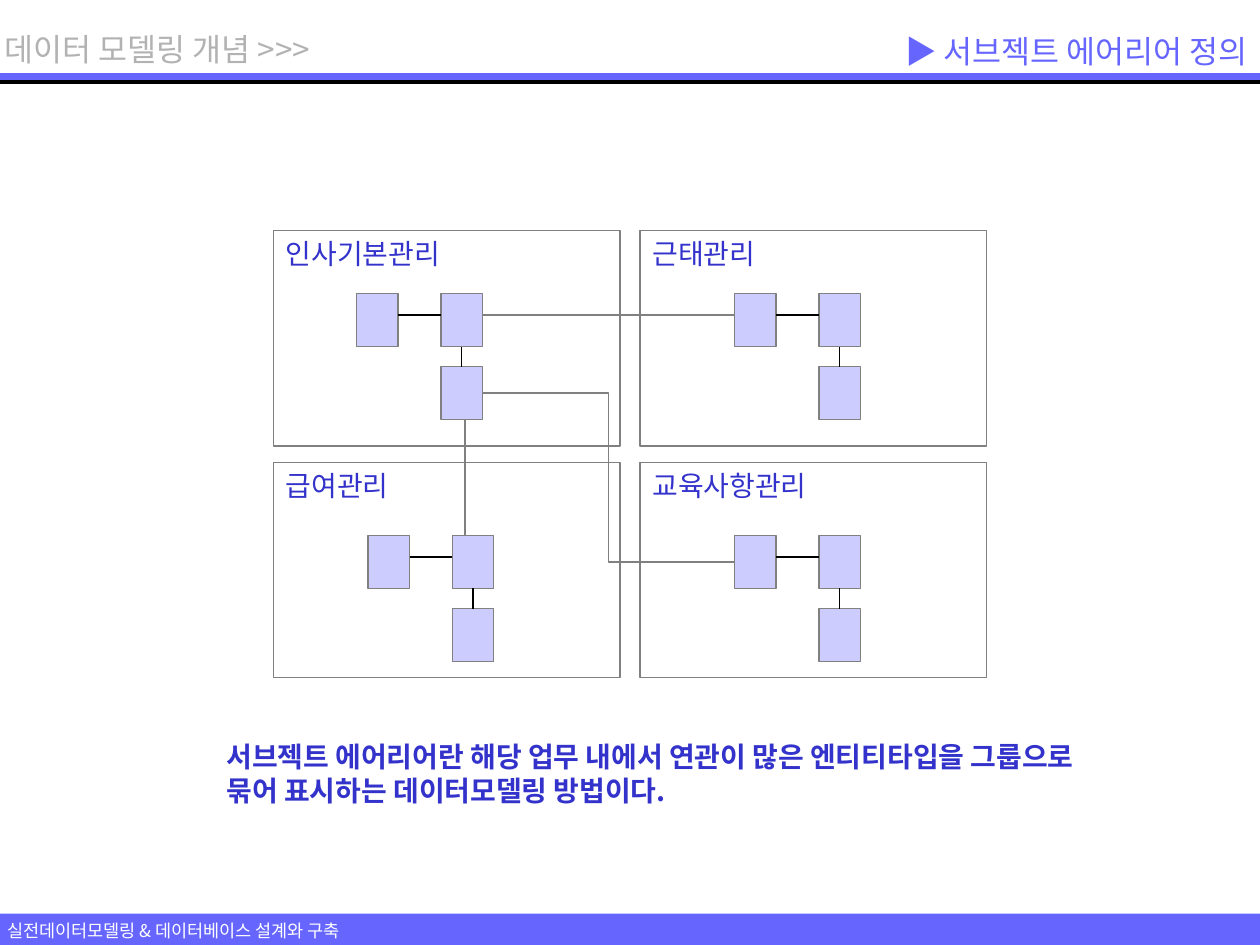
from lxml.etree import SubElement
from pptx import Presentation
from pptx.dml.color import RGBColor
from pptx.enum.shapes import MSO_CONNECTOR as LINK, MSO_SHAPE as SHAPE
from pptx.enum.text import MSO_ANCHOR as ANCHOR, PP_ALIGN as ALIGN
from pptx.oxml.ns import qn
from pptx.util import Inches, Pt

FONT = "Noto Sans CJK KR"
COLORS = {
    "accent": "6666FF", "entity": "CCCCFF", "text": "3333CC", "white": "FFFFFF",
    "black": "000000", "border": "808080", "muted": "B2B2B2",
}
ENTITY_WIDTH, ENTITY_HEIGHT = 0.33, 0.42


def color(name):
    """Return the named palette colour."""
    return RGBColor.from_string(COLORS[name])


def write(shape, text, size, tone, bold=False, align=ALIGN.LEFT, anchor=ANCHOR.TOP):
    """Put formatted text in a shape."""
    frame = shape.text_frame
    frame.text = text
    frame.word_wrap = True
    frame.vertical_anchor = anchor
    for para in frame.paragraphs:
        para.alignment = align
        for span in para.runs:
            span.font.name = FONT
            span.font.size = Pt(size)
            span.font.bold = bold
            span.font.color.rgb = color(tone)
            SubElement(span.font._element, qn("a:ea"), typeface=FONT)


def add_label(page, place, text, size, tone, **style):
    """Add a text box at left, top, width, height."""
    box = page.shapes.add_textbox(*map(Inches, place))
    write(box, text, size, tone, **style)


def add_box(page, place, fill, outline=None):
    """Add a flat rectangle with an optional outline."""
    box = page.shapes.add_shape(SHAPE.RECTANGLE, *map(Inches, place))
    box.shadow.inherit = False
    box.fill.solid()
    box.fill.fore_color.rgb = color(fill)
    if outline:
        box.line.color.rgb = color(outline)
        box.line.width = Pt(0.75)
    else:
        box.line.fill.background()
    return box


def add_link(page, start, end, tone, kind=LINK.STRAIGHT):
    """Add a thin connector between two points."""
    link = page.shapes.add_connector(kind, *map(Inches, (*start, *end)))
    link.line.color.rgb = color(tone)
    link.line.width = Pt(0.75)
    SubElement(link._element.spPr, qn("a:effectLst"))
    return link


def join(link, first, first_side, last, last_side):
    """Attach both ends of a connector to shapes."""
    link.begin_connect(first, first_side)
    link.end_connect(last, last_side)


def add_area(page, left, top, name):
    """Add a named subject area frame."""
    area = add_box(page, (left, top, 2.75, 1.71), "white", "border")
    write(area, name, 16, "text")


def add_entities(page, left, top):
    """Add three linked entities and return the left, right and lower ones."""
    right, lower = left + 0.67, top + 0.58
    places = ((left, top), (right, top), (right, lower))
    entities = [add_box(page, (*place, ENTITY_WIDTH, ENTITY_HEIGHT), "entity", "border")
                for place in places]
    add_link(page, (left + ENTITY_WIDTH, top + 0.17), (right, top + 0.17), "black")
    middle = right + ENTITY_WIDTH / 2
    stem = add_link(page, (middle, lower), (middle, top + ENTITY_HEIGHT), "black")
    join(stem, entities[2], 0, entities[1], 2)
    return entities


def add_frame(page):
    """Add the header and footer bands with their labels."""
    add_box(page, (0, 7.25, 10, 0.25), "accent")
    add_box(page, (0, 0.58, 10, 0.06), "accent")
    for height in (0.64, 0.65, 0.66):
        add_link(page, (0, height), (10, height), "black")
    add_label(page, (-0.04, 7.25, 3.14, 0.27), "실전데이터모델링 & 데이터베이스 설계와 구축", 10, "white")
    add_label(page, (-0.06, 0.19, 2.84, 0.4), "데이터 모델링 개념 >>>", 18, "muted")
    add_label(page, (5, 0.19, 5, 0.43), "▶ 서브젝트 에어리어 정의", 18, "accent",
              align=ALIGN.RIGHT, anchor=ANCHOR.MIDDLE)


def add_diagram(page):
    """Add the four subject areas, their entities and the links across areas."""
    areas = (
        (2.17, 1.83, "인사기본관리"), (5.08, 1.83, "근태관리"),
        (2.17, 3.67, "급여관리"), (5.08, 3.67, "교육사항관리"),
    )
    for left, top, name in areas:
        add_area(page, left, top, name)
    personnel = add_entities(page, 2.83, 2.33)
    add_entities(page, 5.83, 2.33)
    add_entities(page, 2.92, 4.25)
    training = add_entities(page, 5.83, 4.25)
    add_link(page, (3.69, 3.33), (3.69, 4.25), "border")
    add_link(page, (3.83, 2.5), (5.83, 2.5), "border")
    elbow = add_link(page, (3.83, 3.13), (5.83, 4.46), "border", LINK.ELBOW)
    join(elbow, personnel[2], 3, training[0], 1)


def main():
    """Build and save the deck."""
    deck = Presentation()
    deck.slide_width, deck.slide_height = Inches(10), Inches(7.5)
    page = deck.slides.add_slide(deck.slide_layouts[6])
    add_frame(page)
    add_diagram(page)
    add_label(page, (1.7, 5.82, 7.52, 0.64),
              "서브젝트 에어리어란 해당 업무 내에서 연관이 많은 엔티티타입을 그룹으로\n"
              "묶어 표시하는 데이터모델링 방법이다.", 16, "text", bold=True)
    deck.save("out.pptx")


if __name__ == "__main__":
    main()
